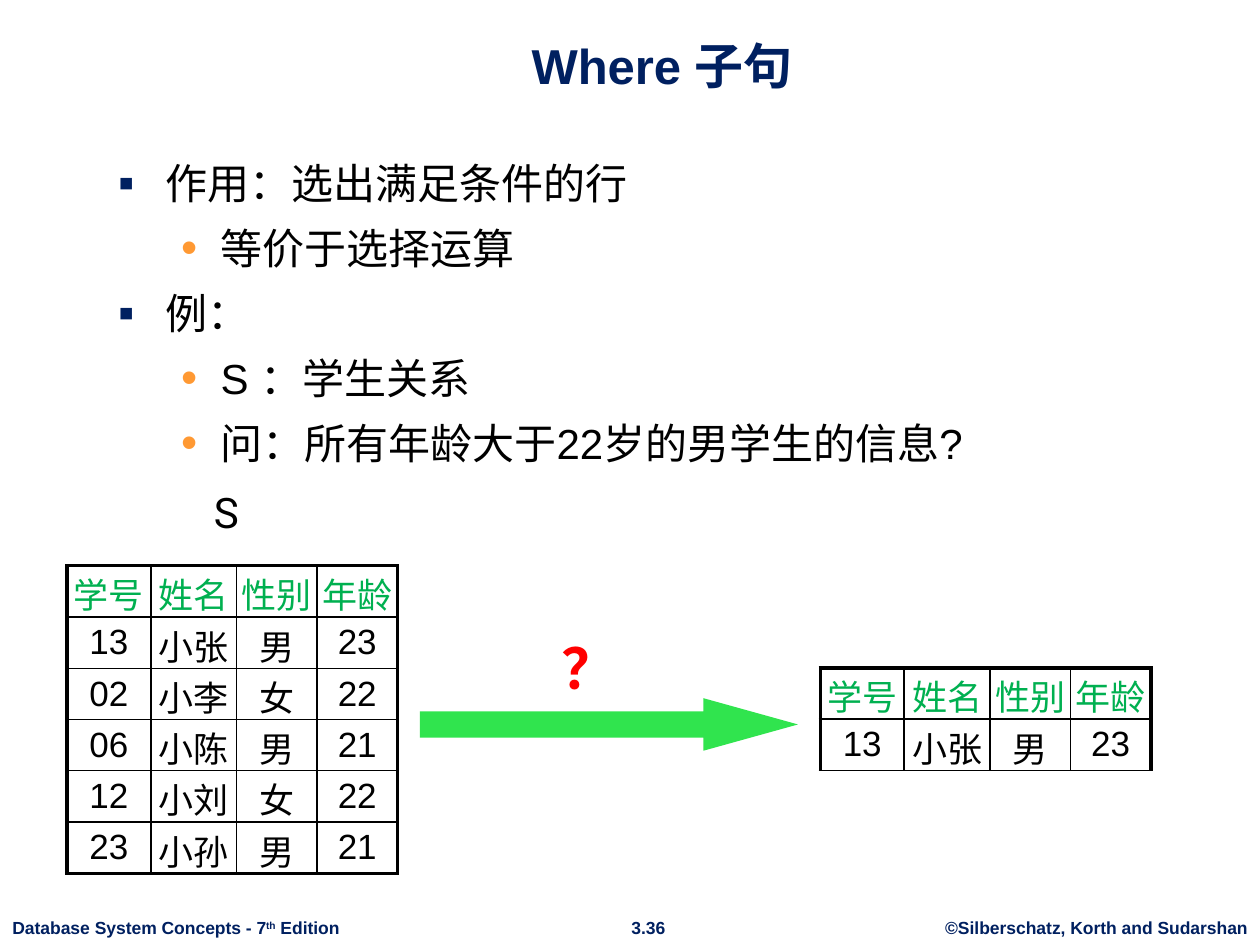
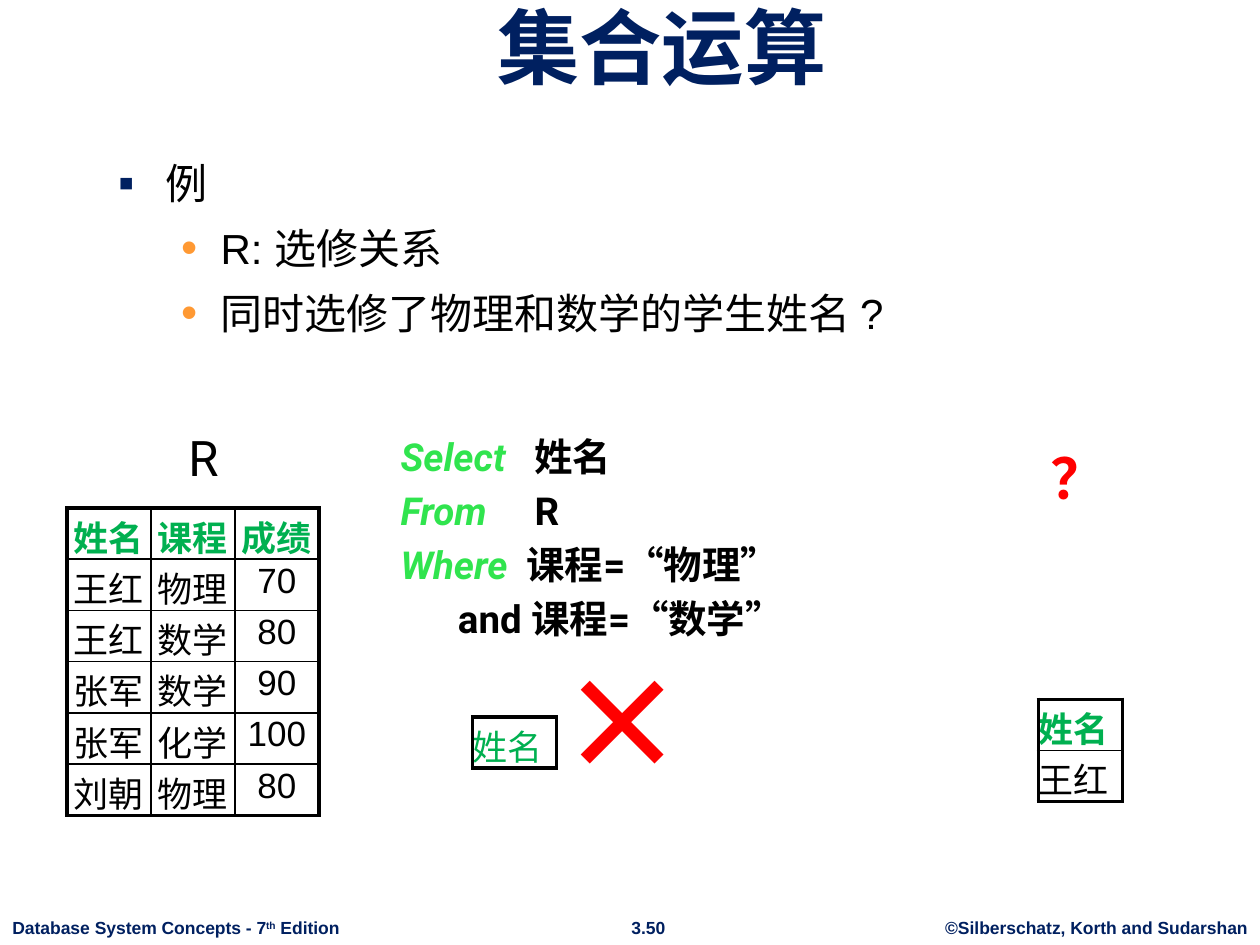
from lxml.etree import SubElement
from pptx import Presentation
from pptx.dml.color import RGBColor
from pptx.enum.shapes import MSO_SHAPE as Shape
from pptx.enum.text import MSO_ANCHOR as Anchor, MSO_AUTO_SIZE as AutoSize, PP_ALIGN as Align
from pptx.oxml.ns import qn
from pptx.util import Pt

COLORS = {
    "navy": "002060", "orange": "FF9933", "green": "00B050",
    "lime": "30E44E", "red": "FF0000", "black": "000000", "white": "FFFFFF",
}
# Per outline level: bullet, colour, left margin, hanging indent
BULLETS = [("▪", "navy", 27, -27), ("•", "orange", 58.5, -22.5)]
ROW_HEIGHT = 29.3
THICK, THIN = 2.25, 1


def rgb(name):
    return RGBColor.from_string(COLORS[name])


def set_font(font, size=None, color=None, name=None, bold=None, italic=None):
    if size:
        font.size = Pt(size)
    if color:
        font.color.rgb = rgb(color)
    if name:
        font.name = name
    font.bold, font.italic = bold, italic


class Deck:
    """Holds the shared style and the slide being filled."""

    def __init__(self):
        self.prs = Presentation()
        self.prs.slide_width, self.prs.slide_height = Pt(720), Pt(540)
        self.slide = None

    def start(self, title, number, title_size=28):
        self.slide = self.prs.slides.add_slide(self.prs.slide_layouts[6])
        footer = dict(size=10, color="navy", bold=True, wrap=False)
        self.text((533, 520.6, 187, 19.4), ["©Silberschatz, Korth and Sudarshan"],
                  align=Align.CENTER, **footer)
        self.text((353, 520.6, 35, 19.4), [number], align=Align.CENTER, **footer)
        edition = [("Database System Concepts - 7", {}), ("th", {"baseline": 30000}),
                   (" Edition", {})]
        self.text((0, 520.6, 202, 19.4), [edition], **footer)
        self.text((60.5, 9.4, 635.8, 48.2), [title], title_size, "navy", bold=True,
                  align=Align.CENTER, anchor=Anchor.BOTTOM, grow=False)

    def text(self, box, lines, size, color="black", name="Arial", bold=False,
             align=Align.LEFT, anchor=Anchor.TOP, wrap=True, grow=True,
             gap=0, spacing=None, side_inset=7.2):
        """Each line is a string or a list of (text, run style) spans."""
        frame = self.slide.shapes.add_textbox(*map(Pt, box)).text_frame
        frame.word_wrap, frame.vertical_anchor = wrap, anchor
        frame.auto_size = AutoSize.SHAPE_TO_FIT_TEXT if grow else AutoSize.NONE
        frame.margin_left = frame.margin_right = Pt(side_inset)
        for index, line in enumerate(lines):
            para = frame.add_paragraph() if index else frame.paragraphs[0]
            para.alignment = align
            if spacing:
                para.line_spacing = spacing
            if index:
                para.space_before = Pt(gap)
            set_font(para.font, size, color, name, bold)
            for content, style in [(line, {})] if isinstance(line, str) else line:
                run = para.add_run()
                run.text = content
                if "baseline" in style:
                    run._r.get_or_add_rPr().set("baseline", str(style["baseline"]))
                elif style:
                    set_font(run.font, **style)
        return frame

    def outline(self, items):
        """Bulleted body from (level, text) pairs."""
        frame = self.text((60.5, 86.4, 607, 386), [item for _, item in items], 24,
                          gap=8.4, grow=False)
        for para, (level, _) in zip(frame.paragraphs, items):
            char, color, margin, indent = BULLETS[level]
            para.level = level
            props = para._p.get_or_add_pPr()
            props.set("marL", str(Pt(margin)))
            props.set("indent", str(Pt(indent)))
            bullet_color = SubElement(props, qn("a:buClr"))
            SubElement(bullet_color, qn("a:srgbClr"), val=COLORS[color])
            SubElement(props, qn("a:buSzPct"), val="110000")
            SubElement(props, qn("a:buFont"), typeface="Arial")
            SubElement(props, qn("a:buChar"), char=char)
            # The font defaults follow the bullet in the schema
            props.append(props.find(qn("a:defRPr")))

    def relation(self, left, top, widths, rows, align=Align.CENTER,
                 anchor=Anchor.TOP, bold_head=False, bottom=THICK):
        """Relation table: green header, thick frame, thin inner lines."""
        last_row, last_col = len(rows) - 1, len(widths) - 1
        table = self.slide.shapes.add_table(
            len(rows), len(widths), Pt(left), Pt(top),
            Pt(sum(widths)), Pt(ROW_HEIGHT * len(rows))).table
        table.first_row = table.horz_banding = False
        for column, width in zip(table.columns, widths):
            column.width = Pt(width)
        for r, values in enumerate(rows):
            table.rows[r].height = Pt(ROW_HEIGHT)
            for c, value in enumerate(values):
                cell = table.cell(r, c)
                cell.text = value
                cell.vertical_anchor = anchor
                cell.margin_left = cell.margin_right = 0
                cell.margin_top = cell.margin_bottom = Pt(1.4)
                para = cell.text_frame.paragraphs[0]
                para.alignment = align
                set_font(para.font, 20, "black" if r else "green", "Arial",
                         bold_head and r == 0)
                self.borders(cell, {
                    "lnL": THIN if c else THICK,
                    "lnR": THICK if c == last_col else THIN,
                    "lnT": THIN if r else THICK,
                    "lnB": bottom if r == last_row else THIN})
                if r:
                    cell.fill.background()
                else:
                    cell.fill.solid()
                    cell.fill.fore_color.rgb = rgb("white")

    def borders(self, cell, widths):
        props = cell._tc.get_or_add_tcPr()
        for side, width in widths.items():
            line = SubElement(props, qn(f"a:{side}"), w=str(Pt(width)))
            fill = SubElement(line, qn("a:solidFill"))
            SubElement(fill, qn("a:srgbClr"), val=COLORS["black"])

    def arrow(self, box, head_ratio):
        arrow = self.slide.shapes.add_shape(Shape.RIGHT_ARROW, *map(Pt, box))
        arrow.adjustments[1] = head_ratio
        arrow.shadow.inherit = False
        arrow.fill.solid()
        arrow.fill.fore_color.rgb = rgb("lime")
        arrow.line.fill.background()

    def question_mark(self, left, top):
        self.text((left, top, 46.8, 46.8), ["？"], 32, "red", "Roboto", True,
                  Align.CENTER, wrap=False, spacing=1.15)


def where_clause(deck):
    deck.start("Where 子句", "3.36")
    deck.outline([
        (0, "作用：选出满足条件的行"),
        (1, "等价于选择运算"),
        (0, "例："),
        (1, "S ：学生关系"),
        (1, "问：所有年龄大于22岁的男学生的信息?"),
    ])

    # Student relation and the selected rows
    deck.text((115.2, 274.3, 28, 36), ["S"], 24, name="Roboto", wrap=False)
    widths = [48, 49, 46, 46]
    students = [
        ["学号", "姓名", "性别", "年龄"],
        ["13", "小张", "男", "23"],
        ["02", "小李", "女", "22"],
        ["06", "小陈", "男", "21"],
        ["12", "小刘", "女", "22"],
        ["23", "小孙", "男", "21"],
    ]
    deck.relation(38.2, 323.3, widths, students, anchor=Anchor.MIDDLE)
    deck.relation(468.7, 381.6, widths, students[:2], anchor=Anchor.MIDDLE, bottom=THIN)

    # Unknown query between them
    deck.arrow((240, 399, 216, 30), 1.8)
    deck.question_mark(313.2, 352.8)


def set_operations(deck):
    deck.start("集合运算", "3.50", title_size=47)
    deck.outline([
        (0, "例"),
        (1, "R: 选修关系"),
        (1, "同时选修了物理和数学的学生姓名 ?"),
    ])

    # Course relation
    deck.text((71.3, 240.5, 90, 41), ["R"], 28, name="Roboto", align=Align.CENTER)
    deck.relation(38.2, 290.2, [48] * 3, [
        ["姓名", "课程", "成绩"],
        ["王红", "物理", "70"],
        ["王红", "数学", "80"],
        ["张军", "数学", "90"],
        ["张军", "化学", "100"],
        ["刘朝", "物理", "80"],
    ], bold_head=True)

    # Expected answer
    deck.relation(593.3, 399.6, [48], [["姓名"], ["王红"]], Align.LEFT, bold_head=True)

    # Attempted query
    keyword = dict(color="lime", bold=True, italic=True)
    quote = dict(name="Times New Roman", bold=True)

    def equals(lead, subject):
        return [(lead + "课程=", {}), ("“", quote), (subject, {}), ("”", quote)]

    deck.text((221.8, 244, 257, 128), [
        [("Select   ", keyword), ("姓名", {})],
        [("From", keyword), ("     R", {})],
        [("Where  ", keyword), *equals("", "物理")],
        equals("      and ", "数学"),
    ], 22, name="Roboto", bold=True, gap=4.4)

    # Its empty, wrong result
    deck.relation(270, 409.7, [48], [["姓名"]], Align.LEFT)
    deck.text((319.7, 365, 74.2, 93.6), ["×"], 72, "red", "Noto Sans CJK SC", True,
              side_inset=0)
    deck.question_mark(592.6, 244)


def main():
    deck = Deck()
    where_clause(deck)
    set_operations(deck)
    deck.prs.save("out.pptx")


if __name__ == "__main__":
    main()
